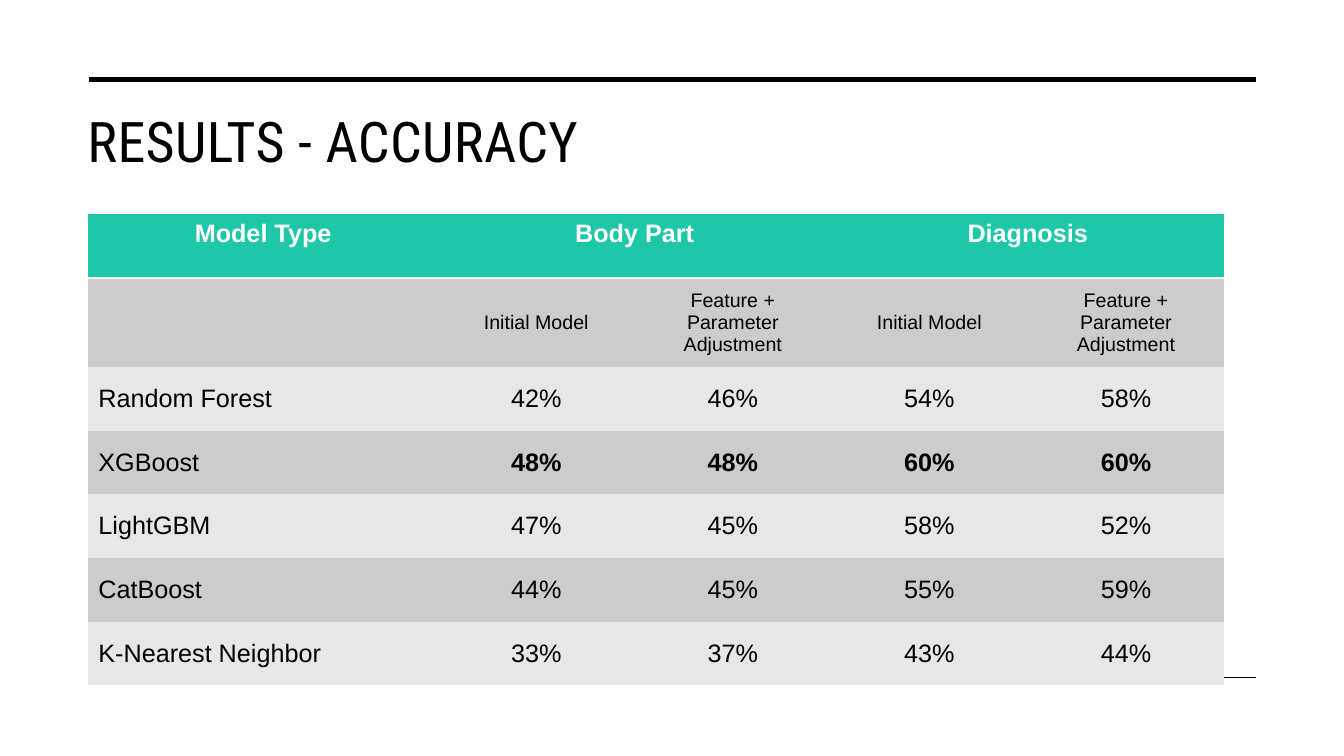
from lxml import etree
from pptx import Presentation
from pptx.dml.color import RGBColor
from pptx.enum import shapes, text
from pptx.oxml import ns
from pptx.util import Pt

HEADS = ["Model Type", "Body Part", "", "Diagnosis", ""]
SUBS = [""] + ["Initial Model", "Feature + Parameter Adjustment"] * 2
MODELS = [
    ["Random Forest", "42%", "46%", "54%", "58%"],
    ["XGBoost", "48%", "48%", "60%", "60%"],
    ["LightGBM", "47%", "45%", "58%", "52%"],
    ["CatBoost", "44%", "45%", "55%", "59%"],
    ["K-Nearest Neighbor", "33%", "37%", "43%", "44%"],
]
BEST = "XGBoost"


def color(code):
    return RGBColor.from_string(code)


class Deck:
    black, white, teal = "000000", "FFFFFF", "1EC7A8"
    bands = ["CCCCCC", "E7E7E7"]
    title_font, body_font = "Roboto Condensed", "Arial"

    def __init__(self, width, height):
        self.show = Presentation()
        self.show.slide_width, self.show.slide_height = Pt(width), Pt(height)
        self.slide = self.show.slides.add_slide(self.show.slide_layouts[6])

    def rule(self, left, right, top, weight):
        line = self.slide.shapes.add_connector(
            shapes.MSO_CONNECTOR.STRAIGHT, Pt(left), Pt(top), Pt(right), Pt(top))
        line.line.color.rgb = color(self.black)
        line.line.width = Pt(weight)
        etree.SubElement(line._element.spPr, ns.qn("a:effectLst"))

    def style(self, para, face, size, code, bold=False):
        for run in para.runs:
            font = run.font
            font.name, font.size, font.bold = face, Pt(size), bold
            font.color.rgb = color(code)

    def title(self, words, left, top, width, height):
        box = self.slide.shapes.add_textbox(Pt(left), Pt(top), Pt(width), Pt(height))
        frame = box.text_frame
        frame.word_wrap = True
        frame.text = words
        para = frame.paragraphs[0]
        self.style(para, self.title_font, 40, self.black)
        para.runs[0]._r.get_or_add_rPr().set("spc", "30")

    def border(self, cell, head):
        props = cell._tc.get_or_add_tcPr()
        for spot, side in enumerate(["lnL", "lnR", "lnT", "lnB"]):
            line = etree.Element(ns.qn("a:" + side))
            if head and side == "lnB":
                line.set("w", str(Pt(2)))
                fill = etree.SubElement(line, ns.qn("a:solidFill"))
                etree.SubElement(fill, ns.qn("a:srgbClr"), val=self.white)
            else:
                etree.SubElement(line, ns.qn("a:noFill"))
            props.insert(spot, line)

    def cell(self, cell, words, fill, size, code, bold, center, head):
        cell.fill.solid()
        cell.fill.fore_color.rgb = color(fill)
        self.border(cell, head)
        anchor = text.MSO_ANCHOR
        cell.vertical_anchor = anchor.TOP if head else anchor.MIDDLE
        cell.text_frame.text = words
        para = cell.text_frame.paragraphs[0]
        para.alignment = text.PP_ALIGN.CENTER if center else text.PP_ALIGN.LEFT
        self.style(para, self.body_font, size, code, bold)

    def table(self, rows, left, top, widths, heights):
        grid = self.slide.shapes.add_table(
            len(rows), len(widths), Pt(left), Pt(top),
            Pt(sum(widths)), Pt(sum(heights))).table
        for col, width in zip(grid.columns, widths):
            col.width = Pt(width)
        for row, height in zip(grid.rows, heights):
            row.height = Pt(height)
        for r, row in enumerate(rows):
            head = r == 0
            fill = self.teal if head else self.bands[(r - 1) % 2]
            code = self.white if head else self.black
            for c, words in enumerate(row):
                bold = head or (row[0] == BEST and c > 0)
                self.cell(grid.cell(r, c), words, fill, 14 if r == 1 else 18,
                          code, bold, head or c > 0, head)
        for c in (1, 3):
            grid.cell(0, c).merge(grid.cell(0, c + 1))

    def save(self):
        self.show.save("out.pptx")


def main():
    deck = Deck(960, 540)
    deck.rule(63.4, 897.1, 56.9, 3.5)
    deck.rule(63.4, 897.1, 483.8, 1)
    deck.title("RESULTS - ACCURACY", 55.4, 72.7, 841.7, 108)
    deck.table([HEADS, SUBS] + MODELS, 63.1, 153.2,
               [249.8] + [140.4] * 4, [45.5, 63.4] + [45.5] * 5)
    deck.save()


if __name__ == "__main__":
    main()
